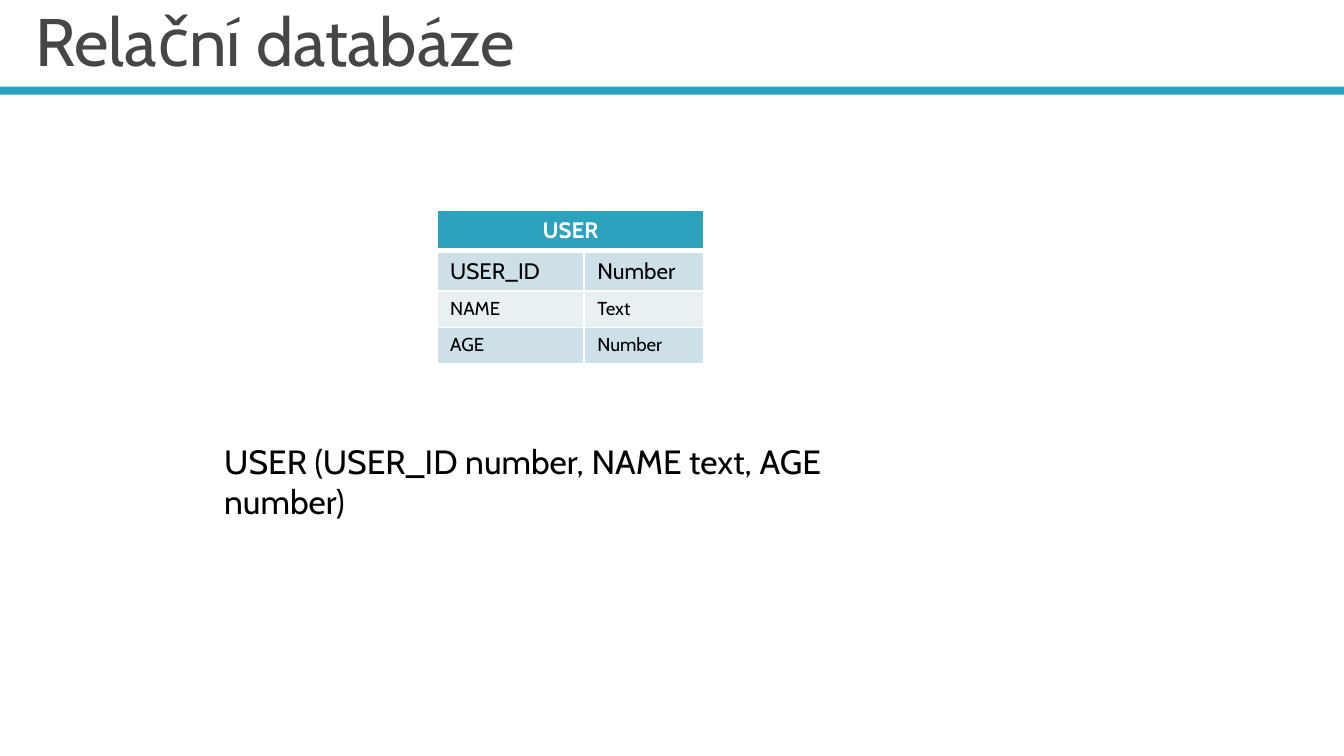
from lxml.etree import SubElement as Sub
from pptx import Presentation as Deck
from pptx.dml.color import RGBColor as Rgb
from pptx.enum.shapes import MSO_SHAPE as Kind
from pptx.enum.text import MSO_ANCHOR as Anchor, PP_ALIGN as Align
from pptx.oxml.ns import qn
from pptx.util import Inches, Pt

# Style: a 16:9 page on a grid of square cells
WIDE, HIGH = 10, 10 * 9 / 16
COLS, ROWS = 100, 100 * 9 / 16
FONT = "Cabin"
TEAL, GRAY, BLACK, WHITE = "2DA2BF", "464646", "000000", "FFFFFF"
BANDS = ["CDE0E8", "E8F0F4"]


def color(code):
    return Rgb.from_string(code)


def grid_x(cols):
    return Inches(WIDE * cols / COLS)


def grid_y(rows):
    return Inches(HIGH * rows / ROWS)


def paint(item, code):
    item.fill.solid()
    item.fill.fore_color.rgb = color(code)


def write(frame, text, size=18, code=BLACK, bold=False, align=Align.LEFT):
    para = frame.paragraphs[0]
    para.alignment = align
    run = para.add_run()
    run.text = text
    font = run.font
    font.name, font.size, font.bold = FONT, Pt(size), bold
    font.color.rgb = color(code)


def edge(cell, base=1):
    """Draw white borders; base is the width of the lower one."""
    props = cell._tc.get_or_add_tcPr()
    for side, width in zip("LRTB", (1, 1, 1, base)):
        line = Sub(props, qn(f"a:ln{side}"), w=str(Pt(width)))
        fill = Sub(line, qn("a:solidFill"))
        Sub(fill, qn("a:srgbClr"), val=WHITE)


class Page:
    def __init__(self, deck):
        self.slide = deck.slides.add_slide(deck.slide_layouts[6])
        self.shapes = self.slide.shapes
        paint(self.slide.background, WHITE)

    def place(self, x, y, w, h):
        return grid_x(x), grid_y(y), grid_x(w), grid_y(h)

    def bar(self, *spot, code=TEAL):
        bar = self.shapes.add_shape(Kind.RECTANGLE, *self.place(*spot))
        bar.shadow.inherit = False
        bar.line.fill.background()
        paint(bar, code)

    def text(self, text, *spot, anchor=Anchor.TOP, **style):
        frame = self.shapes.add_textbox(*self.place(*spot)).text_frame
        frame.word_wrap = True
        frame.vertical_anchor = anchor
        write(frame, text, **style)

    def table(self, x, y, name, fields, widths, heights):
        spot = self.place(x, y, sum(widths), sum(heights))
        grid = self.shapes.add_table(len(heights), len(widths), *spot).table
        for col, width in zip(grid.columns, widths):
            col.width = grid_x(width)
        for row, height in zip(grid.rows, heights):
            row.height = grid_y(height)

        # Header across all columns
        head = grid.cell(0, 0)
        head.merge(grid.cell(0, len(widths) - 1))
        for cell in grid.rows[0].cells:
            edge(cell, base=3)
            paint(cell, TEAL)
        write(head.text_frame, name, size=12, code=WHITE, bold=True,
              align=Align.CENTER)

        # Banded fields, the key in larger type
        for i, field in enumerate(fields):
            for j, word in enumerate(field):
                cell = grid.cell(i + 1, j)
                edge(cell)
                paint(cell, BANDS[i % 2])
                write(cell.text_frame, word, size=10 if i else 12)


deck = Deck()
deck.slide_width, deck.slide_height = Inches(WIDE), Inches(HIGH)
page = Page(deck)

# Title
page.bar(0, 6.45, COLS, 0.6)
page.text("Relační databáze", 1.65, 1.25, 95.8, 5.2,
          anchor=Anchor.BOTTOM, size=36, code=GRAY)

# Table and its schema
fields = [("USER_ID", "Number"), ("NAME", "Text"), ("AGE", "Number")]
page.table(32.5, 15.65, "USER", fields, [10.95, 8.95], [2.9, 3, 2.7, 2.7])
page.text("USER (USER_ID number, NAME text, AGE number)",
          15.7, 32.3, 52.2, 4)

deck.save("out.pptx")
